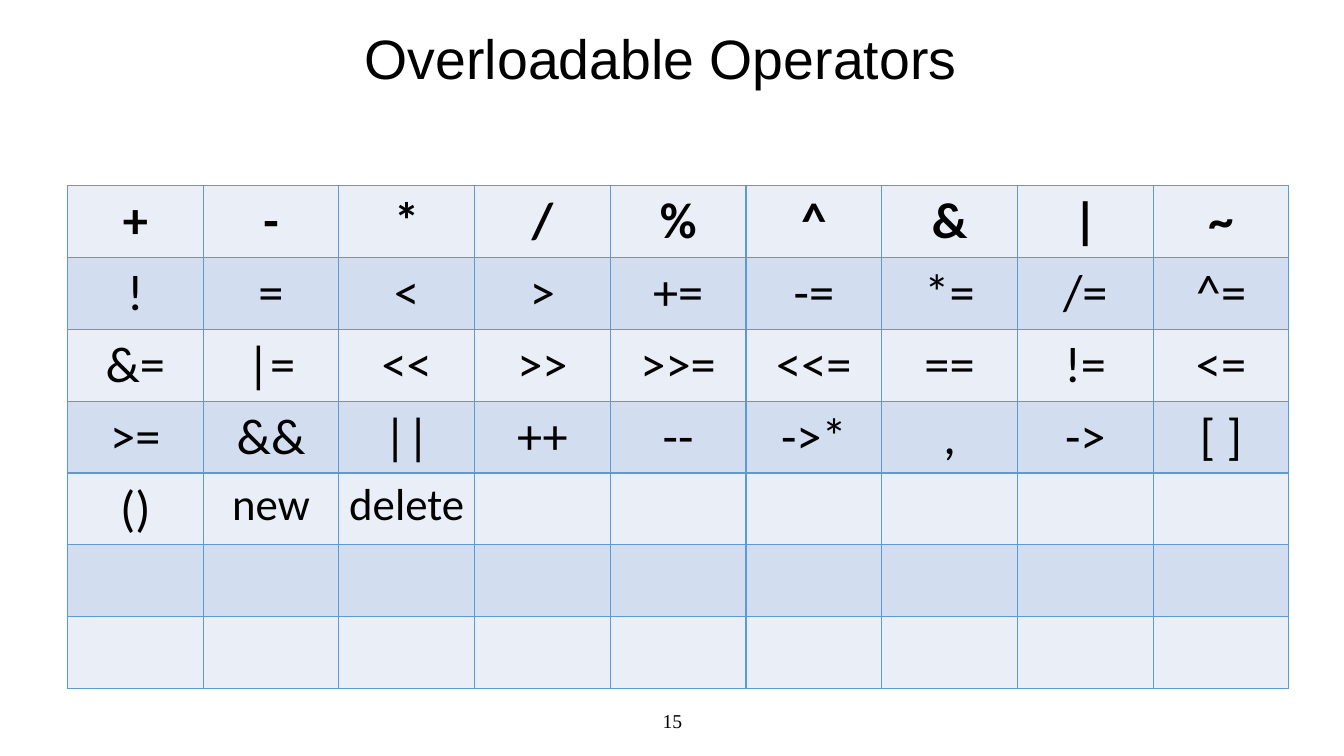
from dataclasses import dataclass

from lxml import etree
from pptx import Presentation
from pptx.dml.color import RGBColor
from pptx.enum.text import MSO_ANCHOR, MSO_AUTO_SIZE, PP_ALIGN
from pptx.oxml.ns import qn
from pptx.util import Cm, Pt

CENTER = PP_ALIGN.CENTER
MIDDLE = MSO_ANCHOR.MIDDLE
NO_AUTOFIT = MSO_AUTO_SIZE.NONE
TITLE_ONLY = 5


@dataclass(frozen=True)
class Theme:
    ink: str = "000000"
    border: str = "5B9BD5"
    bands: tuple = ("EAEFF7", "D2DEEF")
    title_font: str = "Arial"
    table_font: str = "Calibri"
    number_font: str = "Times New Roman"
    title_size: float = 39.6
    symbol_size: float = 36
    keyword_size: float = 32
    number_size: float = 14
    border_width: float = 1


class SlideBuilder:
    def __init__(self, prs, theme):
        self.theme = theme
        self.slide = prs.slides.add_slide(prs.slide_layouts[TITLE_ONLY])

    def set_text(self, tf, text, font, size, bold=False):
        p = tf.paragraphs[0]
        p.text = text
        p.alignment = CENTER
        p.font.name = font
        p.font.size = Pt(size)
        p.font.bold = bold
        p.font.color.rgb = RGBColor.from_string(self.theme.ink)
        return p

    def frame(self, sp):
        tf = sp.text_frame
        tf.word_wrap = True
        tf.auto_size = NO_AUTOFIT
        tf.vertical_anchor = MIDDLE
        return tf

    def title(self, text, x, y, w, h):
        sp = self.slide.shapes.title
        sp.left, sp.top, sp.width, sp.height = Cm(x), Cm(y), Cm(w), Cm(h)
        p = self.set_text(self.frame(sp), text, self.theme.title_font, self.theme.title_size)
        p.line_spacing = 0.9

    def text(self, text, x, y, w, h, font, size):
        sp = self.slide.shapes.add_textbox(Cm(x), Cm(y), Cm(w), Cm(h))
        self.set_text(self.frame(sp), text, font, size)

    def borders(self, cell):
        tc_pr = cell._tc.get_or_add_tcPr()
        for i, side in enumerate(("a:lnL", "a:lnR", "a:lnT", "a:lnB")):
            ln = etree.Element(qn(side), w=str(Pt(self.theme.border_width)))
            fill = etree.SubElement(ln, qn("a:solidFill"))
            etree.SubElement(fill, qn("a:srgbClr"), val=self.theme.border)
            tc_pr.insert(i, ln)

    def table(self, rows, n_cols, x, y, col_w, row_h):
        t = self.theme
        table = self.slide.shapes.add_table(
            len(rows), n_cols, Cm(x), Cm(y), Cm(col_w * n_cols), Cm(row_h * len(rows))).table
        for col in table.columns:
            col.width = Cm(col_w)
        for r, operators in enumerate(rows):
            table.rows[r].height = Cm(row_h)
            for c in range(n_cols):
                cell = table.cell(r, c)
                cell.margin_left = cell.margin_right = Cm(0.2)
                cell.fill.solid()
                cell.fill.fore_color.rgb = RGBColor.from_string(t.bands[r % 2])
                self.borders(cell)
                if c < len(operators):
                    op = operators[c]
                    size = t.keyword_size if op.isalpha() else t.symbol_size
                    self.set_text(cell.text_frame, op, t.table_font, size, bold=r == 0)


# Operators, row by row; the last two rows are empty
OPERATORS = [
    ["+", "-", "*", "/", "%", "^", "&", "|", "~"],
    ["!", "=", "<", ">", "+=", "-=", "*=", "/=", "^="],
    ["&=", "|=", "<<", ">>", ">>=", "<<=", "==", "!=", "<="],
    [">=", "&&", "||", "++", "--", "->*", ",", "->", "[ ]"],
    ["()", "new", "delete"],
    [],
    [],
]

prs = Presentation()
prs.slide_width, prs.slide_height = Cm(33.87), Cm(19.05)
theme = Theme()
s = SlideBuilder(prs, theme)

# Title
s.title("Overloadable Operators ", 6.05, 0.66, 21.59, 1.8)

# Operator table
s.table(OPERATORS, n_cols=9, x=1.7, y=4.68, col_w=3.42, row_h=1.81)

# Slide number
s.text("15", 11.23, 17.65, 11.43, 1.02, theme.number_font, theme.number_size)

prs.save("out.pptx")
